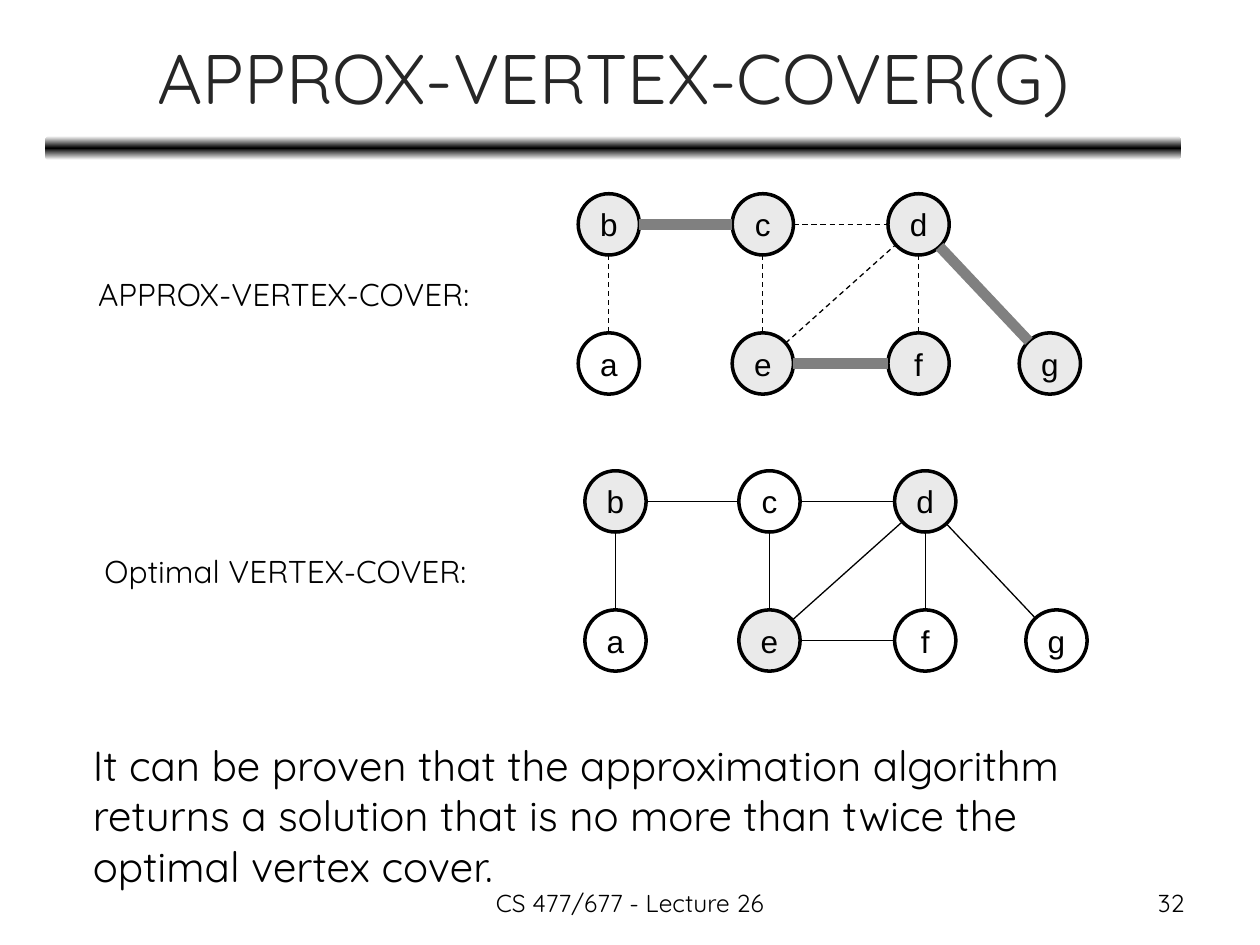
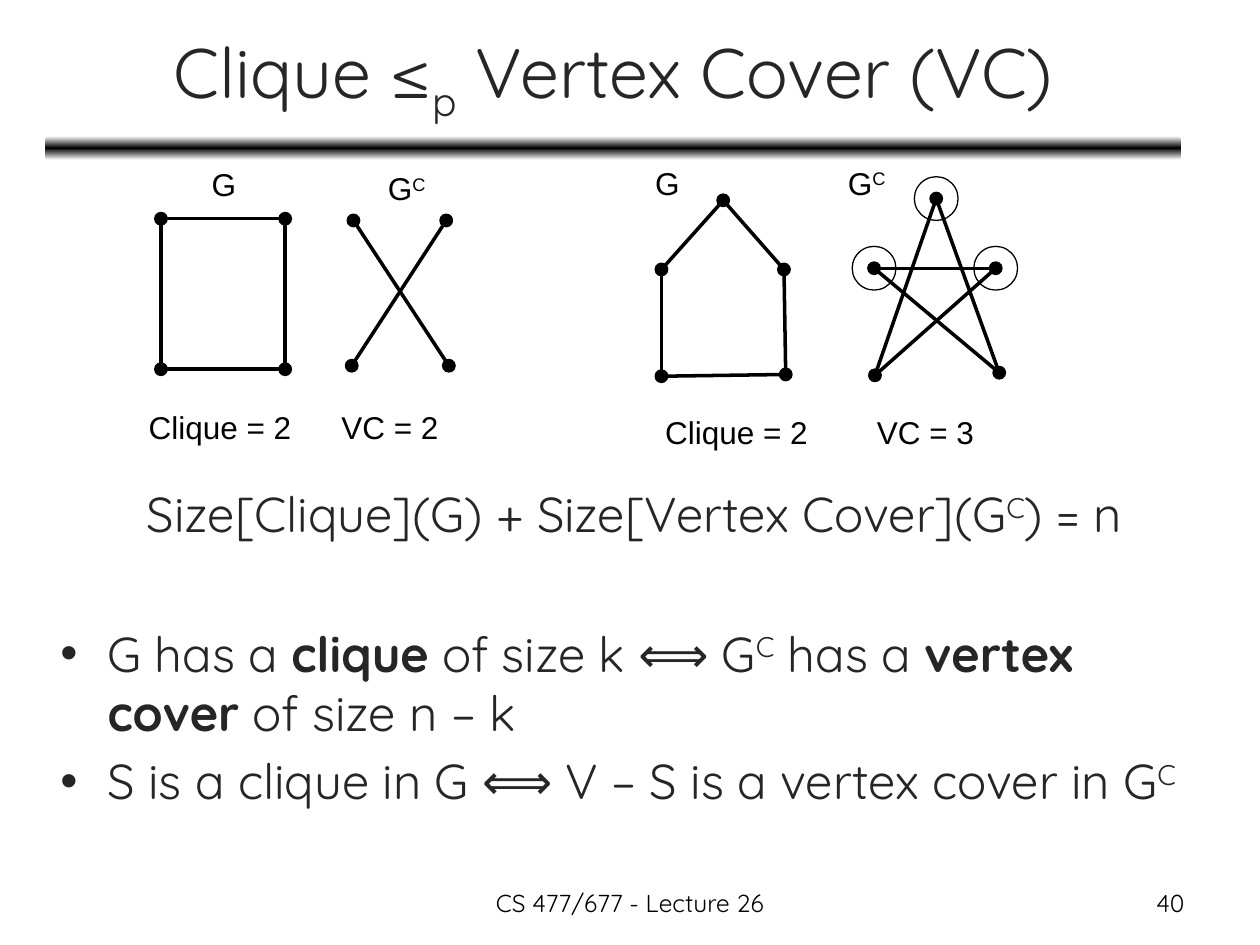
from itertools import combinations
from math import hypot

from lxml import etree
from pptx import Presentation
from pptx.dml.color import RGBColor
from pptx.enum.dml import MSO_LINE
from pptx.enum.shapes import MSO_CONNECTOR, MSO_SHAPE
from pptx.enum.text import MSO_ANCHOR, MSO_AUTO_SIZE, PP_ALIGN
from pptx.oxml.ns import qn
from pptx.util import Pt

OVAL, BAND = MSO_SHAPE.OVAL, MSO_SHAPE.ROUNDED_RECTANGLE
STRAIGHT = MSO_CONNECTOR.STRAIGHT
DASH = MSO_LINE.DASH
CENTER, RIGHT = PP_ALIGN.CENTER, PP_ALIGN.RIGHT
MIDDLE = MSO_ANCHOR.MIDDLE
GROW = MSO_AUTO_SIZE.SHAPE_TO_FIT_TEXT

COLORS = {
    "ink": "000000",
    "text": "262626",
    "paper": "FFFFFF",
    "covered": "EAEAEA",
    "matched": "808080",
}
MAIN_FONT, LABEL_FONT = "Quicksand", "Arial"
FOOTER = "CS 477/677 - Lecture 26"
SUPER, SUB = {"baseline": 30000}, {"baseline": -25000}
BOLD = {"bold": True}

# Seven-vertex graph: offsets of the node centres from node b
NODE_SIZE = 35
GRAPH_NODES = {
    "b": (0, 0), "c": (88, 0), "d": (177, 0),
    "a": (0, 79.5), "e": (88, 79.5), "f": (177, 79.5), "g": (252, 79.5),
}
GRAPH_EDGES = ["bc", "cd", "ba", "ce", "df", "ef", "ed", "dg"]

DOT_SIZE, RING_SIZE = 7.2, 25


def rgb(name):
    return RGBColor.from_string(COLORS[name])


def set_attributes(target, values):
    for key, value in values.items():
        setattr(target, key, value)


def add_runs(paragraph, runs, size, font, color):
    """Runs are plain strings or (string, format) pairs."""
    for item in runs:
        words, extra = (item, {}) if isinstance(item, str) else item
        run = paragraph.add_run()
        run.text = words
        values = {"name": font, "size": Pt(size), **extra}
        baseline = values.pop("baseline", None)
        set_attributes(run.font, values)
        run.font.color.rgb = rgb(color)
        if baseline:
            run.font._element.set("baseline", str(baseline))


def add_text(slide, box, runs, size=18, font=MAIN_FONT, color="ink",
             align=None, **frame_values):
    frame = slide.shapes.add_textbox(*map(Pt, box)).text_frame
    set_attributes(frame, {"word_wrap": True, **frame_values})
    paragraph = frame.paragraphs[0]
    paragraph.alignment = align
    add_runs(paragraph, runs, size, font, color)
    return frame


def add_label(slide, left, top, width, runs, font=LABEL_FONT):
    add_text(slide, (left, top, width, 29), runs, font=font,
             word_wrap=False, auto_size=GROW)


def add_circle(slide, center, size, fill=None, width=0.75):
    x, y = center
    circle = slide.shapes.add_shape(
        OVAL, Pt(x - size / 2), Pt(y - size / 2), Pt(size), Pt(size))
    circle.shadow.inherit = False
    if fill:
        circle.fill.solid()
        circle.fill.fore_color.rgb = rgb(fill)
    else:
        circle.fill.background()
    circle.line.color.rgb = rgb("ink")
    circle.line.width = Pt(width)
    return circle


def add_edge(slide, start, end, color="ink", width=2, dash=None):
    edge = slide.shapes.add_connector(STRAIGHT, *map(Pt, (*start, *end)))
    etree.SubElement(edge._element.spPr, qn("a:effectLst"))
    edge.line.color.rgb = rgb(color)
    set_attributes(edge.line, {"width": Pt(width), "dash_style": dash})


def add_title_band(slide):
    band = slide.shapes.add_shape(BAND, Pt(26), Pt(77.75), Pt(649), Pt(13.7))
    band.shadow.inherit = False
    band.line.fill.background()
    band.fill.gradient()
    band.fill.gradient_angle = 90
    stops = band._element.spPr.find(".//" + qn("a:gsLst"))
    for stop in list(stops):
        stops.remove(stop)
    for position, name in ((0, "paper"), (50000, "ink"), (100000, "paper")):
        stop = etree.SubElement(stops, qn("a:gs"), pos=str(position))
        etree.SubElement(stop, qn("a:srgbClr"), val=COLORS[name])


def add_frame(deck, title, number):
    """Blank slide with the shared title, band and footer."""
    slide = deck.slides.add_slide(deck.slide_layouts[6])
    add_title_band(slide)
    add_text(slide, (26.6, 8, 648, 71.3), title, 40, color="text",
             align=CENTER, vertical_anchor=MIDDLE)
    add_text(slide, (516, 504, 168, 25), [number], 14, align=RIGHT)
    add_text(slide, (246, 504, 228, 25), [FOOTER], 14, align=CENTER)
    return slide


def add_cover_graph(slide, origin, cover, matching=None):
    """Shade the cover; a matching is drawn thick and other edges dashed."""
    centers = {name: (origin[0] + dx, origin[1] + dy)
               for name, (dx, dy) in GRAPH_NODES.items()}
    for name, center in centers.items():
        fill = "covered" if name in cover else "paper"
        frame = add_circle(slide, center, NODE_SIZE, fill, 2).text_frame
        set_attributes(frame, {"word_wrap": False, "vertical_anchor": MIDDLE})
        frame.paragraphs[0].alignment = CENTER
        add_runs(frame.paragraphs[0], [name], 18, LABEL_FONT, "ink")

    for pair in GRAPH_EDGES:
        (x1, y1), (x2, y2) = (centers[name] for name in pair)
        trim = NODE_SIZE / 2 / hypot(x2 - x1, y2 - y1)
        dx, dy = (x2 - x1) * trim, (y2 - y1) * trim
        if matching and pair in matching:
            style = {"color": "matched", "width": 6}
        else:
            style = {"width": 0.75, "dash": DASH if matching else None}
        add_edge(slide, (x1 + dx, y1 + dy), (x2 - dx, y2 - dy), **style)


def add_dot_graph(slide, points, complement=False, rings=()):
    """Cycle through the points in order, or the complement of that cycle."""
    count = len(points)
    for i, j in combinations(range(count), 2):
        in_cycle = j - i in (1, count - 1)
        if in_cycle != complement:
            add_edge(slide, points[i], points[j])
    for point in points:
        add_circle(slide, point, DOT_SIZE, "ink")
    for i in rings:
        add_circle(slide, points[i], RING_SIZE)


def format_bullet(paragraph):
    properties = paragraph._p.get_or_add_pPr()
    properties.set("marL", str(Pt(27)))
    properties.set("indent", str(Pt(-27)))
    etree.SubElement(properties, qn("a:buFont"), typeface="Arial")
    etree.SubElement(properties, qn("a:buChar"), char="•")


def build_approximation(deck):
    slide = add_frame(deck, ["APPROX-VERTEX-COVER(G)"], "32")

    # Approximate and optimal covers
    add_cover_graph(slide, (347.9, 128.2), "bcdefg", ["bc", "ef", "dg"])
    add_label(slide, 49, 153.5, 230, ["APPROX-VERTEX-COVER:"], MAIN_FONT)
    add_cover_graph(slide, (351.7, 286.5), "bde")
    add_label(slide, 52.6, 312, 228, ["Optimal VERTEX-COVER:"], MAIN_FONT)

    # Approximation bound
    add_text(slide, (46, 419, 618.5, 94.5), [
        "It can be proven that the approximation algorithm returns a solution "
        "that is no more than twice the optimal vertex cover."], 24)


def build_reduction(deck):
    slide = add_frame(
        deck, ["Clique ≤", ("p", SUB), " Vertex Cover (VC)"], "40")

    # Size identity and equivalences
    style = {"size": 28, "font": MAIN_FONT, "color": "text"}
    body = add_text(slide, (27.4, 273, 672.5, 241), [
        "Size[Clique](G) + Size[Vertex Cover](G", ("C", SUPER), ") = n"],
        **style)
    body.paragraphs[0]._p.get_or_add_pPr().set("marL", str(Pt(49.5)))
    equivalences = [
        (46, ["G has a ", ("clique", BOLD), " of size k ⟺ G", ("C", SUPER),
              " has a ", ("vertex cover", BOLD), " of size n – k"]),
        (5.6, ["S is a clique in G ⟺ V – S is a vertex cover in G",
               ("C", SUPER)]),
    ]
    for gap, runs in equivalences:
        bullet = body.add_paragraph()
        bullet.space_before = Pt(gap)
        format_bullet(bullet)
        add_runs(bullet, runs, **style)

    # Four vertices: square and its complement
    add_dot_graph(slide, [(92, 125), (163, 125), (163, 211), (92, 211)])
    add_dot_graph(slide, [(202, 126), (255, 126), (256.5, 209), (201, 209)],
                  complement=True)

    # Five vertices: house and its complement, with the cover ringed
    add_dot_graph(slide, [(413.3, 114.5), (448, 154), (449, 214),
                          (378, 215), (378, 154)])
    add_dot_graph(slide, [(535, 113.5), (569, 153.3), (571, 213),
                          (500, 214.5), (499.5, 153.3)],
                  complement=True, rings=(0, 1, 4))

    # Graph names and sizes
    complement_name = ["G", ("C", SUPER)]
    labels = [
        (113.8, 90.7, 29, ["G"]), (214.6, 93, 37.5, complement_name),
        (367.2, 90, 29, ["G"]), (477.4, 90, 37.5, complement_name),
        (77.8, 229.7, 96, ["Clique = 2"]), (188, 229.7, 70, ["VC = 2"]),
        (373, 232.6, 96, ["Clique = 2"]), (494, 232.6, 70, ["VC = 3"]),
    ]
    for label in labels:
        add_label(slide, *label)


def main():
    deck = Presentation()
    deck.slide_width, deck.slide_height = Pt(720), Pt(540)
    build_approximation(deck)
    build_reduction(deck)
    deck.save("out.pptx")


if __name__ == "__main__":
    main()
